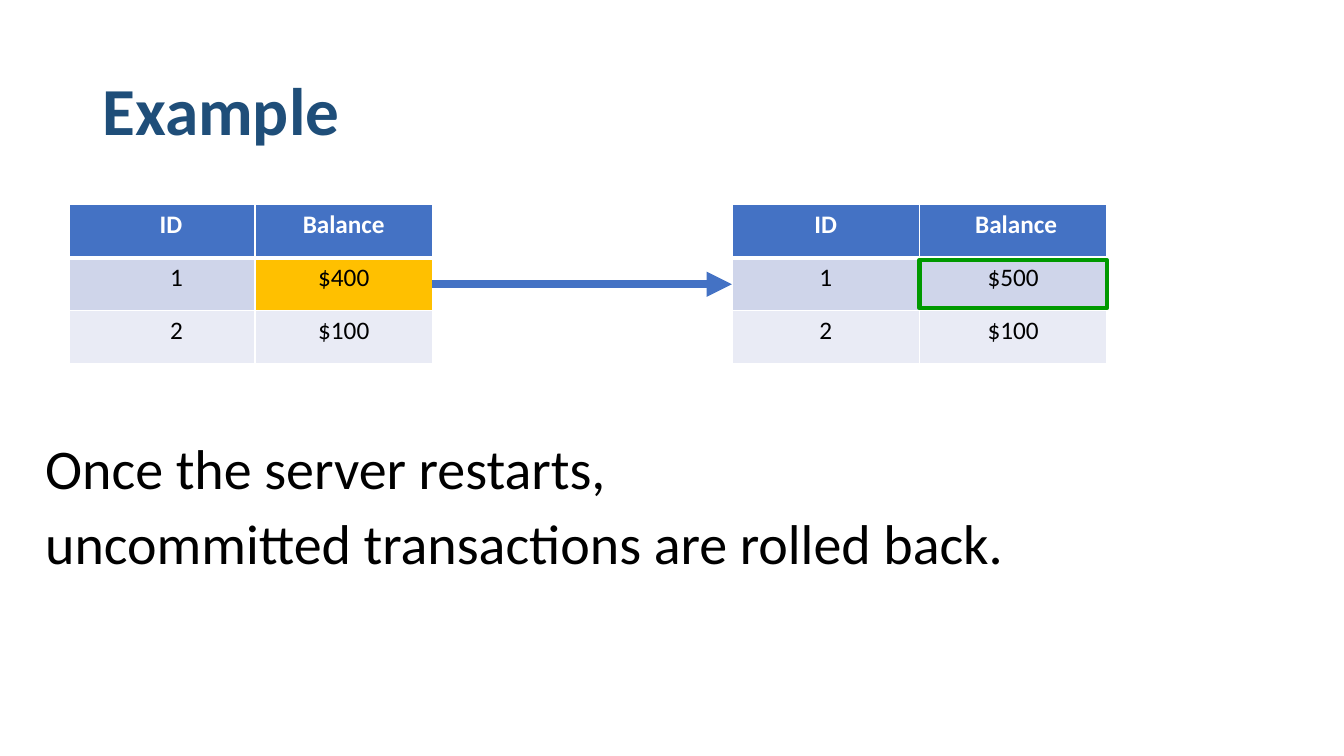
from lxml.etree import SubElement
from pptx import Presentation
from pptx.dml.color import RGBColor as RGB
from pptx.enum.shapes import MSO_CONNECTOR as Link, MSO_SHAPE as Shape
from pptx.enum.text import MSO_ANCHOR as Anchor, PP_ALIGN as Align
from pptx.oxml import parse_xml
from pptx.oxml.ns import nsdecls, qn
from pptx.util import Inches, Pt

WIDE, HIGH = Inches(13.33), Inches(7.5)
FONT = "Calibri"
NAVY = RGB(0x1F, 0x4E, 0x79)
BLUE = RGB(0x44, 0x72, 0xC4)
PALE = RGB(0xCF, 0xD5, 0xEA)
MIST = RGB(0xE9, 0xEB, 0xF5)
GOLD = RGB(0xFF, 0xC0, 0x00)
GREEN = RGB(0x00, 0x99, 0x00)
BLACK = RGB(0, 0, 0)
WHITE = RGB(0xFF, 0xFF, 0xFF)

# Percent of the slide's width or height
TOP, ROW = 27.07, 7.02
LEFT, RIGHT = 5.18, 54.46
OLD_COLS, NEW_COLS = (13.8, 13.2), (13.95, 13.95)


def across(part):
    return round(WIDE * part / 100)


def down(part):
    return round(HIGH * part / 100)


def place(x, y, w, h):
    return across(x), down(y), across(w), down(h)


def style(para, size, color, bold=False):
    for run in para.runs:
        font = run.font
        font.name, font.size, font.bold = FONT, Pt(size), bold
        font.color.rgb = color


def add_text(slide, box, lines, size, color, bold=False, anchor=Anchor.TOP):
    frame = slide.shapes.add_textbox(*place(*box)).text_frame
    frame.word_wrap = True
    frame.vertical_anchor = anchor
    frame.text = "\n".join(lines)
    for para in frame.paragraphs:
        para.line_spacing = 0.9
        para.space_before = Pt(10 if len(lines) > 1 else 0)
        style(para, size, color, bold)


def add_rules(cell, head):
    """Draw white cell borders, with a thick one beside the header."""
    props = cell._tc.get_or_add_tcPr()
    for i, side in enumerate("LRTB"):
        width = Pt(3 if head and side == "B" else 1)
        props.insert(i, parse_xml(
            f'<a:ln{side} {nsdecls("a")} w="{width}"><a:solidFill>'
            f'<a:srgbClr val="{WHITE}"/></a:solidFill></a:ln{side}>'))


def add_grid(slide, x, cols, rows, pads, marks=()):
    """Place a table; pads maps cells to extra left inset in inches."""
    box = place(x, TOP, sum(cols), ROW * len(rows))
    table = slide.shapes.add_table(len(rows), len(cols), *box).table
    for col, width in zip(table.columns, cols):
        col.width = across(width)
    for r, row in enumerate(rows):
        for c, text in enumerate(row):
            cell = table.cell(r, c)
            cell.text = text
            cell.margin_left = Inches(0.1 + pads.get((r, c), 0))
            cell.fill.solid()
            fill = (BLUE, PALE, MIST)[r]
            cell.fill.fore_color.rgb = GOLD if (r, c) in marks else fill
            add_rules(cell, r == 0)
            para = cell.text_frame.paragraphs[0]
            para.alignment = Align.CENTER
            style(para, 18, BLACK if r else WHITE, r == 0)


def add_arrow(slide, x, y, end):
    line = slide.shapes.add_connector(
        Link.STRAIGHT, across(x), down(y), across(end), down(y))
    line.line.color.rgb = BLUE
    line.line.width = Pt(6)
    SubElement(line.line._get_or_add_ln(), qn("a:tailEnd"), type="triangle")
    SubElement(line._element.spPr, qn("a:effectLst"))


def add_frame(slide, box):
    frame = slide.shapes.add_shape(Shape.RECTANGLE, *place(*box))
    frame.shadow.inherit = False
    frame.fill.background()
    frame.line.color.rgb = GREEN
    frame.line.width = Pt(3)


def add_tables(slide):
    """Show the balances before and after the rollback."""
    head = ("ID", "Balance")
    last = ("2", "$100")
    add_grid(slide, RIGHT, NEW_COLS, (head, ("1", "$500"), last),
             {(0, 1): 0.06})
    add_grid(slide, LEFT, OLD_COLS, (head, ("1", "$400"), last),
             {(0, 0): 0.17, (1, 0): 0.28, (2, 0): 0.28}, {(1, 1)})
    add_arrow(slide, LEFT + sum(OLD_COLS), TOP + 1.5 * ROW, RIGHT)
    add_frame(slide, (RIGHT + NEW_COLS[0], TOP + ROW + 0.3, NEW_COLS[1], 6.4))


def main():
    deck = Presentation()
    deck.slide_width, deck.slide_height = WIDE, HIGH
    slide = deck.slides.add_slide(deck.slide_layouts[6])
    add_text(slide, (6.9, 5.33, 86.27, 19.33), ["Example"], 48, NAVY,
             True, Anchor.MIDDLE)
    add_text(slide, (2.63, 57.73, 90.47, 32.4),
             ["Once the server restarts,",
              "uncommitted transactions are rolled back."], 40, BLACK)
    add_tables(slide)
    deck.save("out.pptx")


if __name__ == "__main__":
    main()
